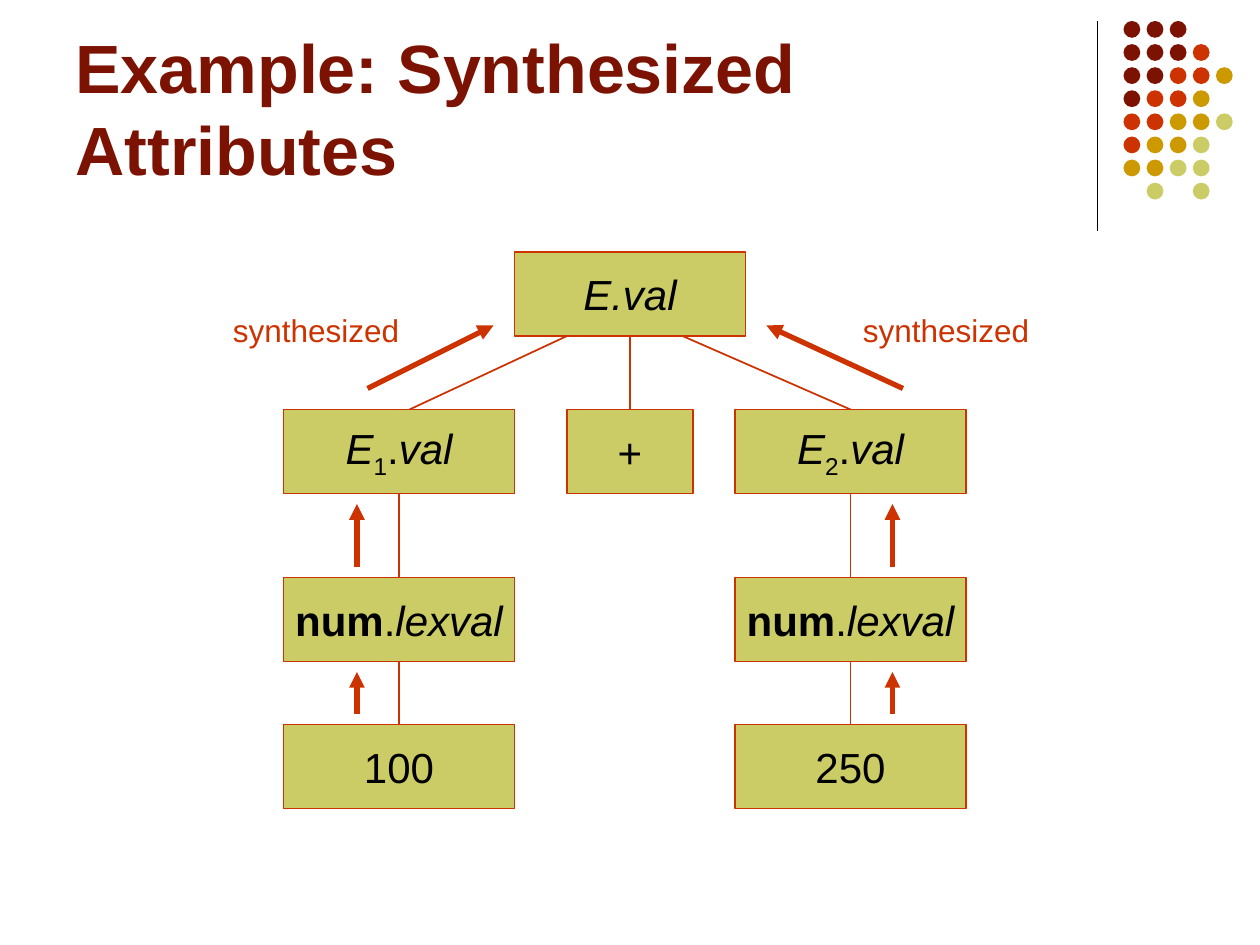
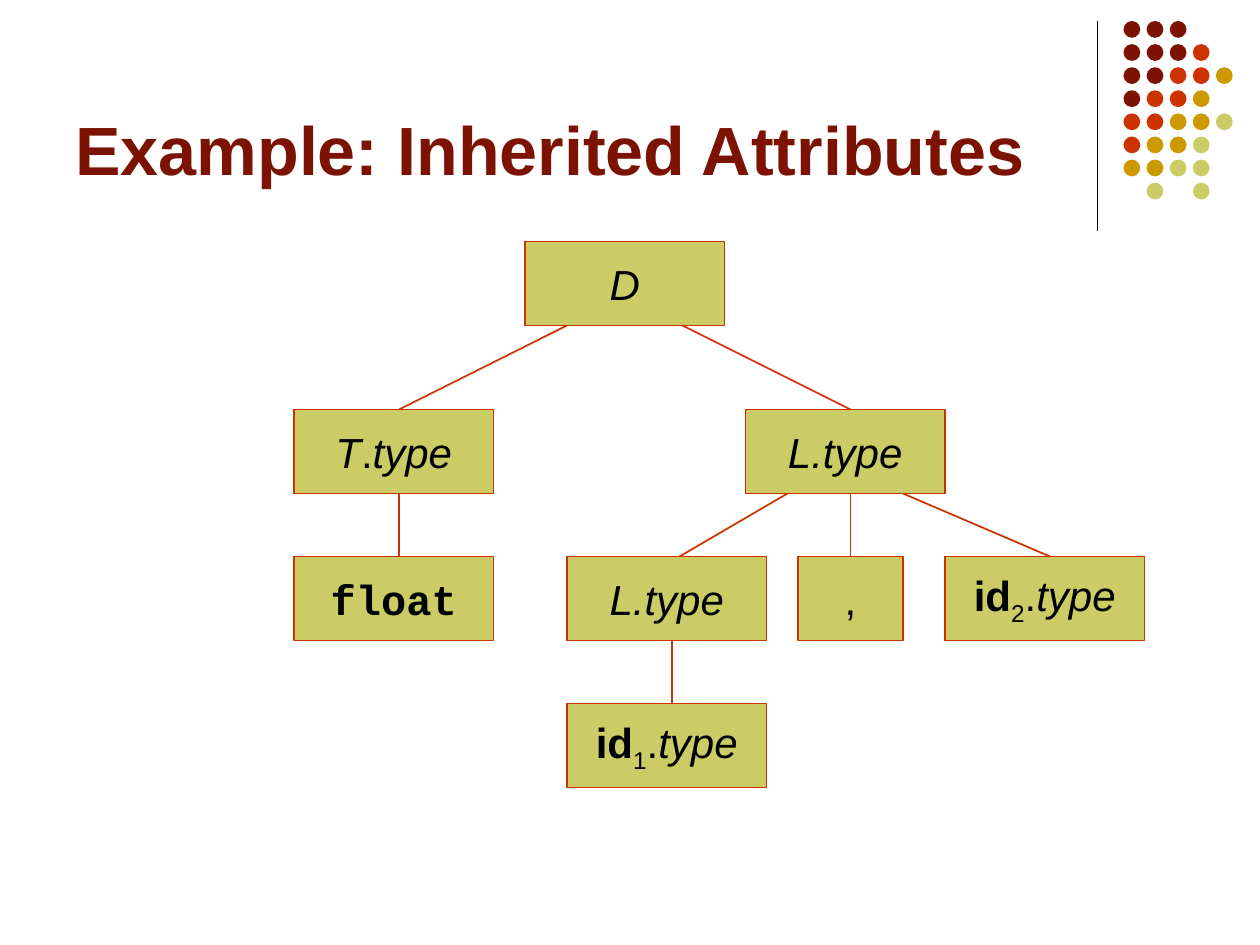
from pptx import Presentation
from pptx.dml.color import RGBColor as RGB
from pptx.enum.shapes import MSO_CONNECTOR as LINE, MSO_SHAPE as SHAPE
from pptx.enum.text import MSO_ANCHOR as ANCHOR, MSO_AUTO_SIZE as FIT
from pptx.enum.text import PP_ALIGN as ALIGN
from pptx.oxml.ns import qn
from pptx.util import Pt
from lxml.etree import SubElement

PX = 7620  # 120 px to the inch
COLOR = {"dark": "7C1302", "red": "CC3300", "gold": "CC9900",
         "lime": "CCCC66", "black": "000000"}
STYLE = {"": {}, "i": {"italic": True}, "b": {"bold": True}, "sub": {},
         "code": {"bold": True, "name": "Courier New"}}

# Shared dot pattern, one letter per dot
DOTS = ["ddd", "dddr", "ddrrg", "drrg", "rrggl", "rggl", "ggll", " l l"]
DOT_HUE = {"d": "dark", "r": "red", "g": "gold", "l": "lime"}

# Node text as (text, style) runs
E, L = [("E.val", "i")], [("L.type", "i")]
E1, E2 = [[("E", "i"), (n, "sub"), (".", ""), ("val", "i")] for n in "12"]
ID1, ID2 = [[("id", "b"), (n, "sub"), (".", ""), ("type", "i")] for n in "12"]
NUM = [("num", "b"), (".", ""), ("lexval", "i")]
T = [("T", "i"), (".", ""), ("type", "i")]

# Nodes: left, top, width, runs; edges and arrows: x1, y1, x2, y2
SLIDES = [
    {"title": "Example: Synthesized Attributes",
     "nodes": [(490, 240, 220, E), (270, 390, 220, E1),
               (540, 390, 120, [("+", "")]), (700, 390, 220, E2),
               (270, 550, 220, NUM), (700, 550, 220, NUM),
               (270, 690, 220, [("100", "")]), (700, 690, 220, [("250", "")])],
     "edges": [(540, 320, 390, 390), (600, 320, 600, 390),
               (650, 320, 810, 390)]
     + [(x, top, x, low) for x in (380, 810)
        for top, low in ((470, 550), (630, 690))],
     "arrows": [(350, 370, 470, 310), (860, 370, 730, 310)]
     + [(x, low, x, top) for x in (340, 850)
        for low, top in ((540, 480), (680, 640))],
     "labels": [(210, 290, "synthesized"), (810, 290, "synthesized")]},
    {"title": "Example: Inherited Attributes",
     "nodes": [(500, 230, 190, [("D", "i")]), (280, 390, 190, T),
               (710, 390, 190, L), (280, 530, 190, [("float", "code")]),
               (540, 530, 190, L), (760, 530, 100, [(",", "")]),
               (900, 530, 190, ID2), (540, 670, 190, ID1)],
     "edges": [(540, 310, 380, 390), (650, 310, 810, 390),
               (380, 470, 380, 530), (750, 470, 630, 540),
               (810, 470, 810, 530), (860, 470, 1000, 530),
               (640, 610, 640, 670)],
     "arrows": [], "labels": []},
]


def link(slide, ends, hue, width, arrow=False):
    line = slide.shapes.add_connector(LINE.STRAIGHT, *[n * PX for n in ends])
    line.line.color.rgb = RGB.from_string(COLOR[hue])
    line.line.width = Pt(width)
    props = line._element.spPr
    if arrow:
        SubElement(props.find(qn("a:ln")), qn("a:tailEnd"), type="triangle")
    SubElement(props, qn("a:effectLst"))


def write(shape, runs, size, hue, align, anchor, wrap=False):
    frame = shape.text_frame
    frame.word_wrap, frame.vertical_anchor = wrap, anchor
    para = frame.paragraphs[0]
    para.alignment = align
    for text, style in runs:
        run = para.add_run()
        run.text = text
        look = {"name": "Arial", "size": Pt(size), "bold": False,
                "italic": False} | STYLE[style]
        for key, value in look.items():
            setattr(run.font, key, value)
        run.font.color.rgb = RGB.from_string(COLOR[hue])
        if style == "sub":
            run.font._element.set("baseline", "-25000")


deck = Presentation()
deck.slide_width, deck.slide_height = 1200 * PX, 900 * PX

for page in SLIDES:
    slide = deck.slides.add_slide(deck.slide_layouts[6])
    shapes = slide.shapes

    # Corner rule and dots
    link(slide, (1045, 20, 1045, 220), "black", 0.75)
    for row, marks in enumerate(DOTS):
        for col, mark in enumerate(marks):
            if mark == " ":
                continue
            spot = (1070 + 22 * col, 20 + 22 * row, 16, 16)
            dot = shapes.add_shape(SHAPE.OVAL, *[n * PX for n in spot])
            dot.shadow.inherit = False
            dot.fill.solid()
            dot.fill.fore_color.rgb = RGB.from_string(COLOR[DOT_HUE[mark]])
            dot.line.fill.background()

    # Title
    title = shapes.add_textbox(60 * PX, 16 * PX, 990 * PX, 170 * PX)
    write(title, [(page["title"], "b")], 39, "dark", ALIGN.LEFT,
          ANCHOR.BOTTOM, wrap=True)

    # Tree
    for ends in page["edges"]:
        link(slide, ends, "red", 1)
    for left, top, width, runs in page["nodes"]:
        spot = (left, top, width, 80)
        node = shapes.add_shape(SHAPE.RECTANGLE, *[n * PX for n in spot])
        node.shadow.inherit = False
        node.fill.solid()
        node.fill.fore_color.rgb = RGB.from_string(COLOR["lime"])
        node.line.color.rgb = RGB.from_string(COLOR["red"])
        node.line.width = Pt(1)
        write(node, runs, 24, "black", ALIGN.CENTER, ANCHOR.MIDDLE)

    # Flow of values
    for ends in page["arrows"]:
        link(slide, ends, "red", 3, arrow=True)
    for left, top, text in page["labels"]:
        label = shapes.add_textbox(left * PX, top * PX, 183 * PX, 48 * PX)
        write(label, [(text, "")], 18, "red", ALIGN.LEFT, ANCHOR.TOP)
        label.text_frame.auto_size = FIT.SHAPE_TO_FIT_TEXT

deck.save("out.pptx")
